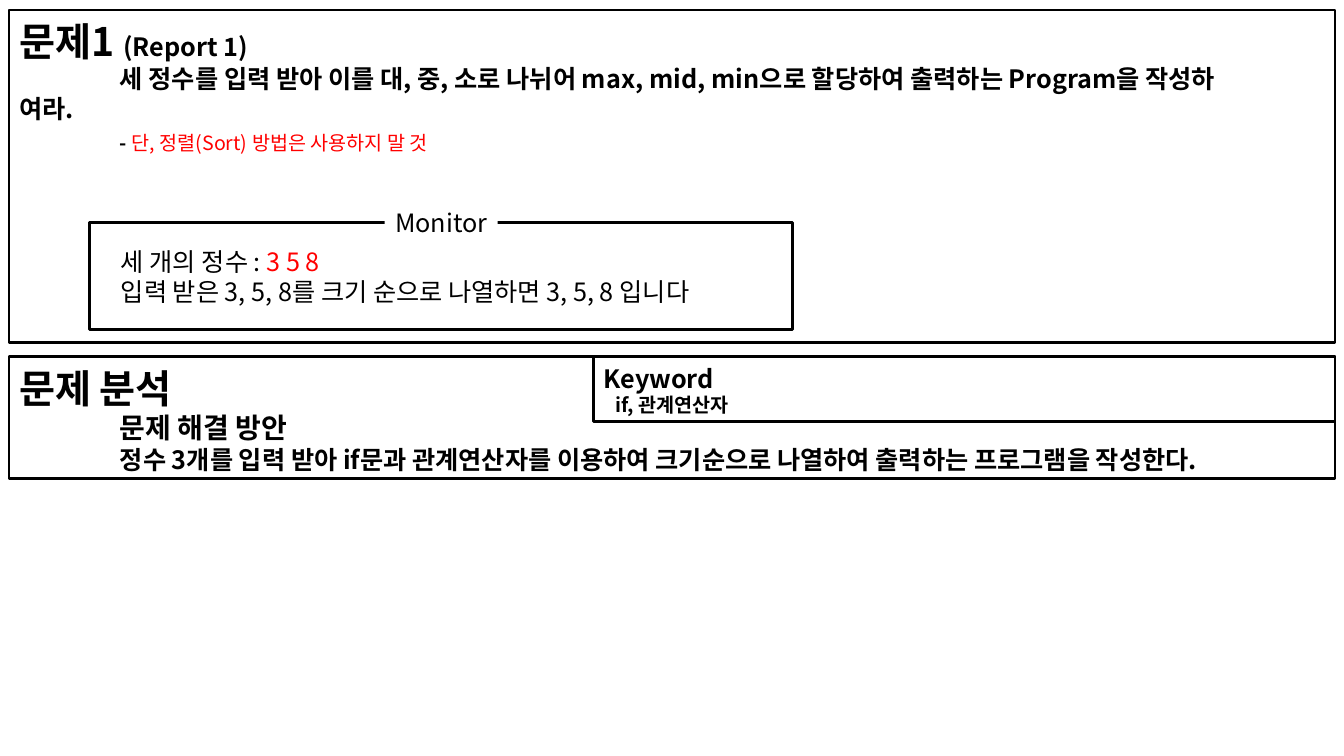
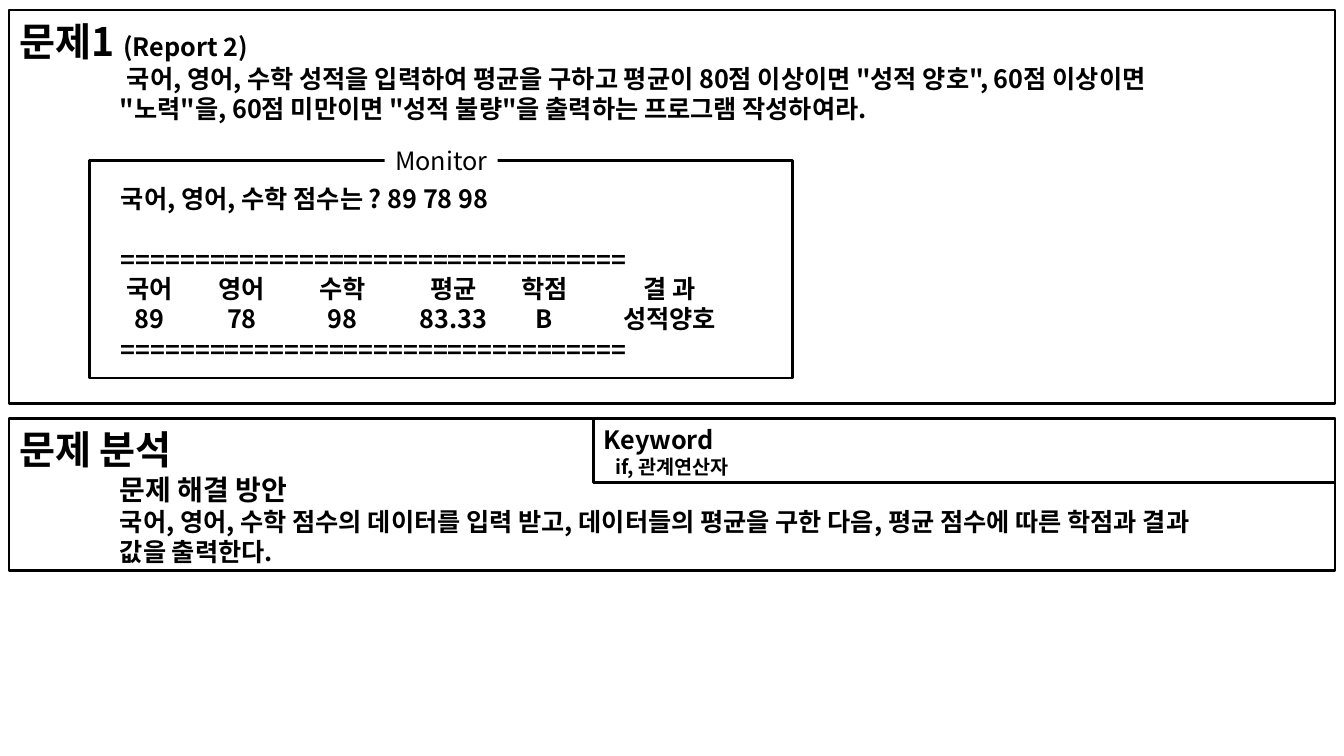
from pptx import Presentation
from pptx.dml.color import RGBColor
from pptx.enum.shapes import MSO_SHAPE
from pptx.enum.text import MSO_ANCHOR, MSO_AUTO_SIZE, PP_ALIGN
from pptx.oxml.ns import qn
from pptx.util import Inches, Pt
from lxml import etree

# Shared style
FONT = "Noto Sans CJK KR"
BLACK, WHITE, RED = "000000", "FFFFFF", "FF0000"
LINE_RATIO = 1.2
HEADING, SUBHEAD, BODY, SMALL = 28, 20, 18, 14

# Shared layout, in inches
PANEL_LEFT, PANEL_TOP, PANEL_WIDTH = 0.09, 0.1, 13.15
TEXT_INDENT = 1.0
KEYWORD_LEFT, KEYWORD_HEIGHT = 5.89, 0.64
MONITOR_LEFT, MONITOR_WIDTH = 0.89, 6.97
LABEL_WIDTH, LABEL_HEIGHT = 1.12, 0.4


def color(hex_code):
    return RGBColor.from_string(hex_code)


def add_run(p, text, size=BODY, bold=True, fill=BLACK):
    r = p.add_run()
    r.text = text
    r.font.name = FONT
    r.font.size = Pt(size)
    r.font.bold = bold
    r.font.color.rgb = color(fill)
    ea = etree.SubElement(r._r.get_or_add_rPr(), qn("a:ea"))
    ea.set("typeface", FONT)


def add_text(tf, *parts, left=0, before=0, align=PP_ALIGN.LEFT, size=BODY, **fmt):
    """Add one paragraph; each part is a string or a (string, format) pair."""
    p = tf.paragraphs[0]
    if p.runs:
        p = tf.add_paragraph()
    p.alignment = align
    p.line_spacing = Pt(size * LINE_RATIO)
    p.space_before = Pt(before)
    p._p.get_or_add_pPr().set("marL", str(Inches(left)))
    p._p.get_or_add_pPr().set("indent", "0")
    for part in parts:
        text, own = (part, {}) if isinstance(part, str) else part
        add_run(p, text, **{"size": size, **fmt, **own})


def set_frame(tf, left=0.1, top=0.06, anchor=MSO_ANCHOR.TOP, wrap=True):
    tf.word_wrap = wrap
    tf.auto_size = MSO_AUTO_SIZE.NONE
    tf.vertical_anchor = anchor
    tf.margin_left, tf.margin_right = Inches(left), Inches(0.1)
    tf.margin_top, tf.margin_bottom = Inches(top), Inches(0)


def add_box(slide, x, y, w, h, fill=None, line=BLACK, **frame):
    sp = slide.shapes.add_shape(MSO_SHAPE.RECTANGLE, Inches(x), Inches(y), Inches(w), Inches(h))
    sp.shadow.inherit = False
    if fill:
        sp.fill.solid()
        sp.fill.fore_color.rgb = color(fill)
    else:
        sp.fill.background()
    if line:
        sp.line.color.rgb = color(line)
        sp.line.width = Pt(2)
    else:
        sp.line.fill.background()
    set_frame(sp.text_frame, **frame)
    return sp.text_frame


def add_title(slide, report):
    sp = slide.shapes.title
    sp.left, sp.top = Inches(PANEL_LEFT), Inches(PANEL_TOP)
    sp.width, sp.height = Inches(PANEL_WIDTH), Inches(0.55)
    set_frame(sp.text_frame, top=0.07)
    add_text(sp.text_frame, "문제1 ", (report, {"size": BODY}), size=HEADING)


def add_problem(prs, report, height):
    """Start a slide with its title and the framed problem statement."""
    slide = prs.slides.add_slide(prs.slide_layouts[5])
    add_title(slide, report)
    tf = add_box(slide, PANEL_LEFT, PANEL_TOP, PANEL_WIDTH, height, top=0.53)
    return slide, tf


def add_monitor(slide, top, height):
    tf = add_box(slide, MONITOR_LEFT, top, MONITOR_WIDTH, height, left=0.31, top=0.23)
    label = add_box(slide, MONITOR_LEFT + (MONITOR_WIDTH - LABEL_WIDTH) / 2,
                    top - LABEL_HEIGHT / 2, LABEL_WIDTH, LABEL_HEIGHT,
                    fill=WHITE, line=None, top=0, anchor=MSO_ANCHOR.MIDDLE, wrap=False)
    add_text(label, "Monitor", bold=False, align=PP_ALIGN.CENTER)
    return tf


def add_analysis(slide, top, height, lines):
    tf = add_box(slide, PANEL_LEFT, top, PANEL_WIDTH, height, top=0.07)
    add_text(tf, "문제 분석", size=HEADING)
    add_text(tf, "문제 해결 방안", size=SUBHEAD, left=TEXT_INDENT)
    for line in lines:
        add_text(tf, line, left=TEXT_INDENT)
    keyword_width = PANEL_LEFT + PANEL_WIDTH - KEYWORD_LEFT
    tf = add_box(slide, KEYWORD_LEFT, top, keyword_width, KEYWORD_HEIGHT)
    add_text(tf, "Keyword")
    add_text(tf, "if, 관계연산자", size=SMALL, left=0.12)


def add_scores(slide, x, y, widths, rows, row_height=0.3):
    frame = slide.shapes.add_table(len(rows), len(widths), Inches(x), Inches(y),
                                   Inches(sum(widths)), Inches(row_height * len(rows)))
    table = frame.table
    table.first_row = table.horz_banding = False
    # Plain style without grid lines
    style = table._tbl.tblPr.find(qn("a:tableStyleId"))
    style.text = "{2D5ABB26-0587-4C30-8999-92F81FD0307C}"
    for col, width in zip(table.columns, widths):
        col.width = Inches(width)
    for row, values in zip(table.rows, rows):
        row.height = Inches(row_height)
        for cell, value in zip(row.cells, values):
            cell.fill.background()
            cell.margin_left = cell.margin_right = 0
            cell.margin_top = cell.margin_bottom = 0
            add_text(cell.text_frame, value, align=PP_ALIGN.CENTER)


def build_sorting(prs):
    slide, tf = add_problem(prs, "(Report 1)", 3.3)
    add_text(tf, "세 정수를 입력 받아 이를 대, 중, 소로 나뉘어 max, mid, min으로 "
                 "할당하여 출력하는 Program을 작성하", left=TEXT_INDENT)
    add_text(tf, "여라.")
    add_text(tf, ("- ", {"size": SMALL}),
             ("단, 정렬(Sort) 방법은 사용하지 말 것", {"size": SMALL, "bold": False, "fill": RED}),
             left=TEXT_INDENT)

    tf = add_monitor(slide, 2.21, 1.06)
    add_text(tf, "세 개의 정수 : ", ("3 5 8", {"fill": RED}), bold=False)
    add_text(tf, "입력 받은 3, 5, 8를 크기 순으로 나열하면 3, 5, 8 입니다", bold=False)

    add_analysis(slide, 3.54, 1.21, [
        "정수 3개를 입력 받아 if문과 관계연산자를 이용하여 크기순으로 나열하여 출력하는 프로그램을 작성한다."])


def build_grades(prs):
    slide, tf = add_problem(prs, "(Report 2)", 3.9)
    add_text(tf, "국어, 영어, 수학 성적을 입력하여 평균을 구하고 평균이 80점 이상이면 "
                 "\"성적 양호\", 60점 이상이면", left=TEXT_INDENT + 0.07)
    add_text(tf, "\"노력\"을, 60점 미만이면 \"성적 불량\"을 출력하는 프로그램 작성하여라.",
             left=TEXT_INDENT)

    # Console output: the score rows sit between two rules
    tf = add_monitor(slide, 1.59, 2.16)
    rule, line = "=" * 34, BODY * LINE_RATIO
    add_text(tf, "국어, 영어, 수학 점수는 ? 89 78 98")
    add_text(tf, rule, before=line)
    add_text(tf, rule, before=2 * line)
    add_scores(slide, 1.0, 2.73, [0.96, 0.88, 1.12, 1.08, 0.72, 1.76], [
        ["국어", "영어", "수학", "평균", "학점", "결 과"],
        ["89", "78", "98", "83.33", "B", "성적양호"]])

    add_analysis(slide, 4.15, 1.51, [
        "국어, 영어, 수학 점수의 데이터를 입력 받고, 데이터들의 평균을 구한 다음, 평균 점수에 따른 학점과 결과",
        "값을 출력한다."])


def main():
    prs = Presentation()
    prs.slide_width, prs.slide_height = Inches(13.33), Inches(7.5)
    build_sorting(prs)
    build_grades(prs)
    prs.save("out.pptx")


if __name__ == "__main__":
    main()
